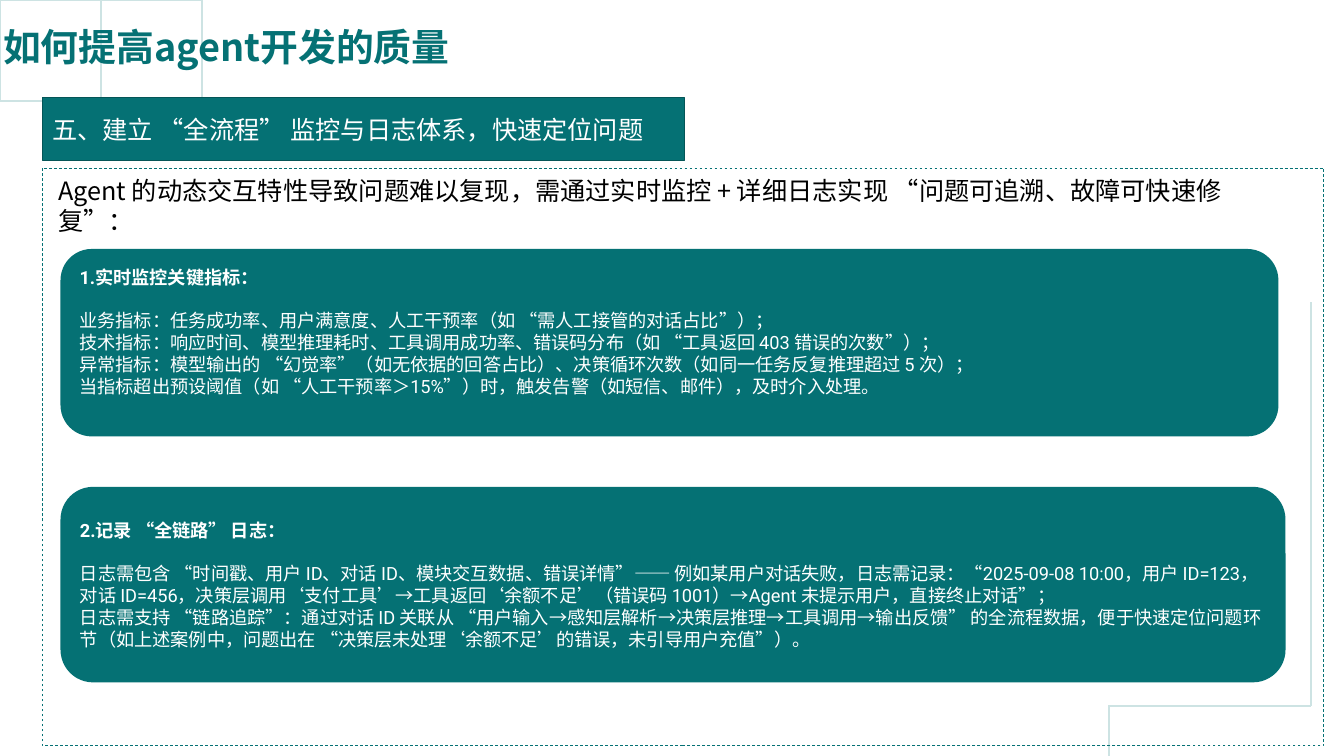
import pptx
import pptx.dml.color
import pptx.enum.dml
import pptx.enum.lang
import pptx.enum.shapes
import pptx.enum.text
import pptx.oxml
import pptx.oxml.ns
import pptx.util

Inches = pptx.util.Inches
Pt = pptx.util.Pt
Anchor = pptx.enum.text.MSO_ANCHOR
Preset = pptx.enum.shapes.MSO_SHAPE

TEAL, DARK_TEAL, PALE_TEAL = "057174", "045557", "CDE3E3"
BLACK, WHITE = "000000", "FFFFFF"
CJK_FONT, LATIN_FONT = "Noto Sans CJK SC", "Roboto"

# Each wave is a start point followed by cubic segments (two controls, one end).
TOP_LEFT_WAVES = [
    [(0, .44), (.08, .42), (.16, .4), (.24, .38), (.47, .31), (.83, .22), (1.06, 0)],
    [(1.41, 0), (1.5, .1), (1.62, .35), (1.55, .5), (1.47, .72), (.97, .73), (.54, .74),
     (.36, .74), (.18, .75), (0, .76)],
    [(1.39, 0), (1.45, .16), (1.47, .33), (1.35, .46), (1.23, .58), (.8, .63), (.45, .66),
     (.3, .67), (.15, .69), (0, .71)],
    [(1.33, 0), (1.34, .2), (1.23, .38), (.97, .46), (.75, .53), (.3, .58), (0, .64)],
    [(1.23, 0), (1.15, .25), (.9, .34), (.63, .41), (.42, .46), (.2, .51), (0, .55)],
]
BOTTOM_RIGHT_WAVES = [
    [(13.33, 3.92), (13.18, 4.24), (13.15, 4.72), (13.33, 5.5)],
    [(13.33, 3.41), (13.06, 3.78), (12.98, 4.2), (13.05, 4.75),
     (13.1, 5.15), (13.24, 5.6), (13.33, 6.02)],
    [(13.33, 2.94), (12.92, 3.34), (12.73, 3.92), (12.84, 4.6),
     (12.91, 5.1), (13.15, 5.75), (13.33, 6.4)],
    [(13.33, 2.52), (12.7, 2.9), (12.5, 3.6), (12.63, 4.45),
     (12.74, 5.15), (13.05, 5.95), (13.33, 6.64)],
    [(13.33, 6.87), (13.1, 6.91), (12.83, 6.91), (12.55, 6.9), (12.35, 6.89), (12.15, 6.89),
     (11.96, 6.9), (11.4, 6.95), (11.04, 7.2), (10.88, 7.5)],
    [(13.33, 6.96), (13.05, 7.05), (12.75, 7.04), (12.44, 7.04),
     (11.9, 7.04), (11.35, 7.06), (10.95, 7.5)],
    [(13.33, 7.06), (13.05, 7.2), (12.7, 7.2), (12.35, 7.2),
     (11.85, 7.17), (11.35, 7.22), (11.02, 7.5)],
    [(13.33, 7.19), (13.1, 7.36), (12.75, 7.36), (12.33, 7.33),
     (11.85, 7.3), (11.45, 7.34), (11.1, 7.5)],
    [(13.33, 7.36), (13.15, 7.5), (12.9, 7.5), (12.7, 7.49),
     (12.2, 7.45), (11.75, 7.35), (11.21, 7.5)],
]

MONITORING = [
    "1.实时监控关键指标：",
    "业务指标：任务成功率、用户满意度、人工干预率（如 “需人工接管的对话占比”）；",
    "技术指标：响应时间、模型推理耗时、工具调用成功率、错误码分布（如 “工具返回 403 错误的次数”）；",
    "异常指标：模型输出的 “幻觉率”（如无依据的回答占比）、决策循环次数（如同一任务反复推理超过 5 次）；",
    "当指标超出预设阈值（如 “人工干预率＞15%”）时，触发告警（如短信、邮件），及时介入处理。",
]
LOGGING = [
    "2.记录 “全链路” 日志：",
    "日志需包含 “时间戳、用户 ID、对话 ID、模块交互数据、错误详情”—— 例如某用户对话失败，"
    "日志需记录：“2025-09-08 10:00，用户 ID=123，对话 ID=456，决策层调用‘支付工具’→"
    "工具返回‘余额不足’（错误码 1001）→Agent 未提示用户，直接终止对话”；",
    "日志需支持 “链路追踪”：通过对话 ID 关联从 “用户输入→感知层解析→决策层推理→工具调用→"
    "输出反馈” 的全流程数据，便于快速定位问题环节（如上述案例中，问题出在 "
    "“决策层未处理‘余额不足’的错误，未引导用户充值”）。",
]


def rgb(value):
    return pptx.dml.color.RGBColor.from_string(value)


def sample_curve(points, steps=16):
    """Turn chained cubic segments into points along the curve."""
    sampled = [points[0]]
    for i in range(0, len(points) - 1, 3):
        for step in range(1, steps + 1):
            t = step / steps
            weights = ((1 - t) ** 3, 3 * t * (1 - t) ** 2, 3 * t * t * (1 - t), t ** 3)
            sampled.append(tuple(
                sum(w * p[axis] for w, p in zip(weights, points[i:i + 4]))
                for axis in (0, 1)))
    return sampled


class SlideBuilder:
    def __init__(self, slide):
        self.slide = slide

    def waves(self, curves):
        builder = None
        for curve in curves:
            start, *rest = sample_curve(curve)
            if builder is None:
                builder = self.slide.shapes.build_freeform(*start, scale=Inches(1))
            else:
                builder.move_to(*start)
            builder.add_line_segments(rest, close=False)
        shape = builder.convert_to_shape()
        shape.shadow.inherit = False
        shape.fill.background()
        shape.line.color.rgb = rgb(PALE_TEAL)
        shape.line.width = Pt(1.4)

    def panel(self, preset, box, fill=None, line=None, width=1, dashed=False):
        shape = self.slide.shapes.add_shape(preset, *map(Inches, box))
        shape.shadow.inherit = False
        if fill:
            shape.fill.solid()
            shape.fill.fore_color.rgb = rgb(fill)
        else:
            shape.fill.background()
        if line:
            shape.line.color.rgb = rgb(line)
            shape.line.width = Pt(width)
            if dashed:
                shape.line.dash_style = pptx.enum.dml.MSO_LINE.DASH
        else:
            shape.line.fill.background()
        return shape

    def text_box(self, box):
        return self.slide.shapes.add_textbox(*map(Inches, box))

    def add_text(self, shape, texts, size, color, font=LATIN_FONT, anchor=Anchor.MIDDLE,
                 bold_first=False):
        frame = shape.text_frame
        frame.word_wrap = True
        frame.vertical_anchor = anchor
        for i, text in enumerate(texts):
            paragraph = frame.paragraphs[0] if i == 0 else frame.add_paragraph()
            paragraph.alignment = pptx.enum.text.PP_ALIGN.LEFT
            run = paragraph.add_run()
            run.text = text
            run.font.name = font
            run.font.size = Pt(size)
            run.font.bold = bold_first and i == 0
            run.font.color.rgb = rgb(color)
            run.font.language_id = pptx.enum.lang.MSO_LANGUAGE_ID.SIMPLIFIED_CHINESE
            latin = run.font._element.find(pptx.oxml.ns.qn("a:latin"))
            east_asian = pptx.oxml.parse_xml(
                f'<a:ea {pptx.oxml.ns.nsdecls("a")} typeface="{CJK_FONT}"/>')
            latin.addnext(east_asian)
        return frame

    def card(self, box, texts):
        """Rounded panel with a bold heading one line above its body."""
        shape = self.panel(Preset.ROUNDED_RECTANGLE, box, fill=TEAL)
        frame = self.add_text(shape, texts, 13, WHITE, bold_first=True)
        frame.paragraphs[0].space_after = Pt(15.7)
        return frame


def main():
    presentation = pptx.Presentation()
    presentation.slide_width = Inches(13.33)
    presentation.slide_height = Inches(7.5)
    page = SlideBuilder(presentation.slides.add_slide(presentation.slide_layouts[6]))

    page.waves(TOP_LEFT_WAVES)
    page.waves(BOTTOM_RIGHT_WAVES)

    title = page.add_text(page.text_box((0.03, -0.1, 11.81, 0.79)),
                          ["如何提高agent开发的质量"],
                          27, TEAL, CJK_FONT, Anchor.BOTTOM, bold_first=True)
    title.margin_left = title.margin_right = title.margin_top = title.margin_bottom = 0

    page.panel(Preset.RECTANGLE, (0.42, 1.67, 12.71, 5.73), line=TEAL, width=0.5, dashed=True)
    page.add_text(page.text_box((0.48, 1.69, 12.05, 1.08)),
                  ["Agent 的动态交互特性导致问题难以复现，需通过实时监控 + 详细日志实现 "
                   "“问题可追溯、故障可快速修复”："],
                  18, BLACK, CJK_FONT, Anchor.TOP)
    heading = page.panel(Preset.RECTANGLE, (0.42, 0.97, 6.37, 0.62), fill=TEAL, line=DARK_TEAL)
    page.add_text(heading, ["五、建立 “全流程” 监控与日志体系，快速定位问题"], 18, WHITE)

    monitoring = page.card((0.6, 2.47, 12.08, 1.86), MONITORING)
    monitoring.margin_bottom = Inches(0.27)
    page.card((0.6, 4.83, 12.15, 1.94), LOGGING)

    presentation.save("out.pptx")


if __name__ == "__main__":
    main()
